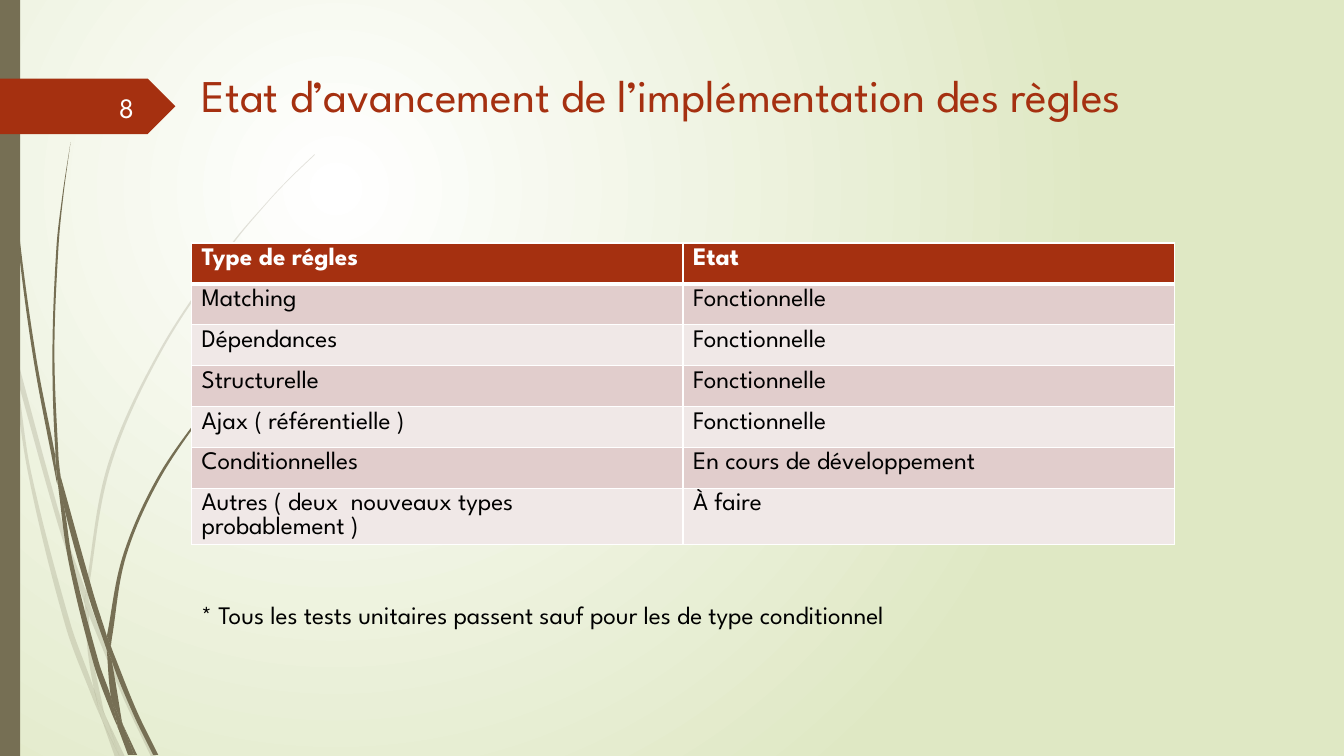
"""Build the slide on the progress of the rules."""
from lxml.etree import SubElement
from pptx import Presentation
from pptx.dml.color import RGBColor
from pptx.enum.shapes import MSO_SHAPE
from pptx.enum.text import MSO_ANCHOR, PP_ALIGN
from pptx.oxml.ns import qn
from pptx.util import Inches, Pt

FONT = "League Spartan"
RUST, OLIVE, WHITE, BLACK = "A53010", "766F54", "FFFFFF", "000000"
PALE_GREEN, BANDS = "DFE8C4", ("F0E8E7", "E1CDCC")
WIDTH, HEIGHT = 13.33, 7.5
LEFT, TABLE_WIDTH, TABLE_TOP = 1.9, 9.75, 2.41
ROW_HEIGHT = Pt(29.2)
UNITS = 1000

TITLE = "Etat d’avancement de l’implémentation des règles"
FOOTNOTE = "* Tous les tests unitaires passent sauf pour les de type conditionnel"
PAGE_NUMBER = "8"
RULES = [
    ("Type de régles", "Etat"),
    ("Matching", "Fonctionnelle"),
    ("Dépendances", "Fonctionnelle"),
    ("Structurelle", "Fonctionnelle"),
    ("Ajax ( référentielle )", "Fonctionnelle"),
    ("Conditionnelles", "En cours de développement"),
    ("Autres ( deux  nouveaux types probablement )", "À faire"),
]

PALE_BLADES = [
    ([(.11, 3.5), (.09, 3.22), (0, 2.82)], [(0, 2.99), (.1, 3.44), (.11, 3.5)]),
    ([(.85, 5.86), (.62, 5.2), (.14, 3.45)], [(.17, 3.76), (.58, 5.22), (.84, 5.99)]),
    ([(.88, 5.96), (.92, 6.07), (1.27, 6.92), (1.55, 7.51)],
     [(1.5, 7.51), (1.23, 6.94), (.88, 6.1)]),
    ([(1.05, 7.11), (1.24, 7.51)], [(1.19, 7.51), (1.05, 7.11)]),
    ([(.11, 3.5), (.28, 4.7), (.65, 6.21), (.92, 6.93), (1.01, 7.14)],
     [(.99, 7.07), (.93, 6.83), (.7, 6.19), (.31, 4.69), (.17, 3.76), (.11, 3.5)]),
    ([(.84, 5.99), (.87, 6.46), (.93, 6.83), (.96, 6.92), (1.05, 7.11)],
     [(1.03, 7.06), (.91, 6.46), (.88, 6.1), (.88, 6.08), (.84, 5.99)]),
    ([(.88, 5.96), (.88, 5.84), (1.1, 4.62), (1.6, 3.49), (2.29, 2.45), (2.68, 1.98),
      (2.9, 1.75), (3.12, 1.54)],
     [(3.12, 1.53), (2.89, 1.75), (2.68, 1.97), (2.28, 2.44), (1.58, 3.48), (1.07, 4.61),
      (.85, 5.84), (.85, 5.86)]),
    ([(1.01, 7.14), (1.14, 7.51)], [(1.19, 7.51), (1.01, 7.14)]),
    ([(.88, 6.1), (.88, 5.96)], [(.85, 5.86), (.84, 5.99), (.88, 6.08)]),
    ([(.93, 6.83), (.99, 7.07), (1.01, 7.14), (1.19, 7.51)],
     [(1.19, 7.51), (1.05, 7.11), (.96, 6.92), (.93, 6.83)]),
]
DARK_BLADES = [
    ([(.03, 0), (.04, .48), (.07, 1.1), (.17, 2.33), (.33, 3.55), (.56, 4.77), (.57, 4.81)],
     [(.55, 4.57), (.55, 4.53), (.36, 3.55), (.19, 2.32), (.08, 1.09), (.05, .48), (.04, 0)]),
    ([(.6, 4.72), (.64, 5.05), (.88, 5.92), (1.06, 6.45)],
     [(1.06, 6.33), (1.06, 6.31), (.93, 5.9), (.6, 4.72)]),
    ([(1.1, 6.41), (1.13, 6.49), (1.36, 7.06), (1.57, 7.49)],
     [(1.52, 7.49), (1.32, 7.08), (1.11, 6.56), (1.1, 6.41)]),
    ([(.57, 4.77), (.68, 5.57), (.93, 6.59), (1.11, 7.08), (1.17, 7.22)],
     [(1.16, 7.17), (1.1, 6.91), (.98, 6.57), (.72, 5.56), (.64, 5.05), (.57, 4.77)]),
    ([(.6, 4.72), (.58, 4.53), (.54, 3.49), (.58, 2.45), (.63, 1.93), (.7, 1.41)],
     [(.7, 1.41), (.62, 1.93), (.56, 2.45), (.52, 3.49), (.55, 4.49), (.6, 4.72)]),
    ([(1.22, 7.19), (1.36, 7.49)], [(1.33, 7.49), (1.22, 7.19)]),
    ([(.55, 4.49), (.55, 4.53), (.57, 4.77), (.64, 5.05)], [(.6, 4.72), (.55, 4.49)]),
    ([(1.1, 6.41), (1.11, 6.33), (1.25, 5.52), (1.58, 4.76), (2.05, 4.06), (2.31, 3.74),
      (2.45, 3.59), (2.61, 3.44)],
     [(2.6, 3.44), (2.45, 3.58), (2.31, 3.73), (2.04, 4.05), (1.56, 4.74), (1.22, 5.51),
      (1.06, 6.31)]),
    ([(1.17, 7.22), (1.27, 7.49)], [(1.31, 7.49), (1.17, 7.22)]),
    ([(1.06, 6.45), (1.1, 6.91), (1.16, 7.06), (1.22, 7.19)],
     [(1.21, 7.16), (1.11, 6.56), (1.09, 6.51), (1.06, 6.45)]),
    ([(1.06, 6.45), (1.09, 6.51), (1.11, 6.56)], [(1.1, 6.41), (1.06, 6.31), (1.06, 6.33)]),
    ([(1.1, 6.91), (1.16, 7.17), (1.17, 7.22), (1.3, 7.49)],
     [(1.33, 7.49), (1.22, 7.19), (1.16, 7.06), (1.1, 6.91)]),
]


def rgb(code):
    return RGBColor.from_string(code)


def paint(shape, code, alpha=100):
    shape.shadow.inherit = False
    shape.line.fill.background()
    shape.fill.solid()
    shape.fill.fore_color.rgb = rgb(code)
    if alpha < 100:
        tint = next(shape.element.iter(qn("a:srgbClr")))
        SubElement(tint, qn("a:alpha"), val=str(alpha * 1000))


def slope(before, after):
    length = abs(after[1] - before[1]) or 1
    return (after[0] - before[0]) / length, (after[1] - before[1]) / length


def bend(segments, points):
    last = len(points) - 1
    slopes = [slope(points[max(i - 1, 0)], points[min(i + 1, last)]) for i in range(last + 1)]
    for i, segment in enumerate(segments):
        start, end = points[i], points[i + 1]
        third = abs(end[1] - start[1]) / 3
        curve = segment.makeelement(qn("a:cubicBezTo"), {})
        handles = (
            [p + third * s for p, s in zip(start, slopes[i])],
            [p - third * s for p, s in zip(end, slopes[i + 1])],
            end,
        )
        for x, y in handles:
            SubElement(curve, qn("a:pt"), x=str(round(x)), y=str(round(y)))
        segment.getparent().replace(segment, curve)


def add_blade(slide, edges, alpha):
    outline = [(x * UNITS, y * UNITS) for edge in edges for x, y in edge]
    builder = slide.shapes.build_freeform(*outline[0], scale=Inches(1) / UNITS)
    builder.add_line_segments(outline[1:], close=True)
    blade = builder.convert_to_shape()
    paint(blade, OLIVE, alpha)
    points = [(int(p.get("x")), int(p.get("y"))) for p in blade.element.iter(qn("a:pt"))]
    segments = list(blade.element.iter(qn("a:lnTo")))
    turn = len(edges[0])
    bend(segments[:turn - 1], points[:turn])
    bend(segments[turn:len(outline) - 1], points[turn:len(outline)])


def write(frame, text, size, code, bold=False, align=PP_ALIGN.LEFT):
    frame.word_wrap = True
    paragraph = frame.paragraphs[0]
    paragraph.alignment = align
    run = paragraph.add_run()
    run.text = text
    for name, value in {"name": FONT, "size": Pt(size), "bold": bold}.items():
        setattr(run.font, name, value)
    run.font.color.rgb = rgb(code)


def add_label(slide, box, text, size, code, align=PP_ALIGN.LEFT, bottom=0.05):
    frame = slide.shapes.add_textbox(*map(Inches, box)).text_frame
    frame.vertical_anchor = MSO_ANCHOR.MIDDLE
    frame.margin_bottom = Inches(bottom)
    write(frame, text, size, code, align=align)


def add_borders(cell, bottom):
    properties = cell._tc.get_or_add_tcPr()
    for index, (side, points) in enumerate(zip("LRTB", (1, 1, 1, bottom))):
        line = properties.makeelement(qn(f"a:ln{side}"), {"w": str(Pt(points))})
        SubElement(SubElement(line, qn("a:solidFill")), qn("a:srgbClr"), val=WHITE)
        properties.insert(index, line)


def add_rules(slide):
    place = map(Inches, (LEFT, TABLE_TOP, TABLE_WIDTH))
    table = slide.shapes.add_table(
        len(RULES), len(RULES[0]), *place, ROW_HEIGHT * len(RULES)).table
    for row, texts in enumerate(RULES):
        header = row == 0
        for column, text in enumerate(texts):
            cell = table.cell(row, column)
            cell.fill.solid()
            cell.fill.fore_color.rgb = rgb(RUST if header else BANDS[row % 2])
            write(cell.text_frame, text, 18, WHITE if header else BLACK, header)
            add_borders(cell, 3 if header else 1)


def add_background(slide):
    fill = slide.background.fill
    fill.gradient()
    for stop, code, position in zip(fill.gradient_stops, (WHITE, PALE_GREEN), (0, 1)):
        stop.color.rgb = rgb(code)
        stop.position = position
    linear = next(slide.element.iter(qn("a:lin")))
    gradient = linear.getparent()
    gradient.remove(linear)
    circle = SubElement(gradient, qn("a:path"), {"path": "circle"})
    SubElement(circle, qn("a:fillToRect"), l="50000", t="50000", r="100000", b="100000")


deck = Presentation()
deck.slide_width, deck.slide_height = Inches(WIDTH), Inches(HEIGHT)
progress = deck.slides.add_slide(deck.slide_layouts[6])
add_background(progress)
for blades, opacity in ((PALE_BLADES, 20), (DARK_BLADES, 100)):
    for blade_edges in blades:
        add_blade(progress, blade_edges, opacity)
for kind, area, color in (
    (MSO_SHAPE.RECTANGLE, (0, 0, 0.2, HEIGHT), OLIVE),
    (MSO_SHAPE.PENTAGON, (0, 0.78, 1.74, 0.55), RUST),
):
    paint(progress.shapes.add_shape(kind, *map(Inches, area)), color)
add_rules(progress)
add_label(progress, (LEFT, 0.62, 11.69, 0.88), TITLE, 32.4, RUST, bottom=0.29)
add_label(progress, (LEFT, 5.9, TABLE_WIDTH, 0.4), FOOTNOTE, 18, BLACK)
add_label(progress, (0.58, 0.86, 0.85, 0.4), PAGE_NUMBER, 20, "FEFFFF", PP_ALIGN.RIGHT)
deck.save("out.pptx")
